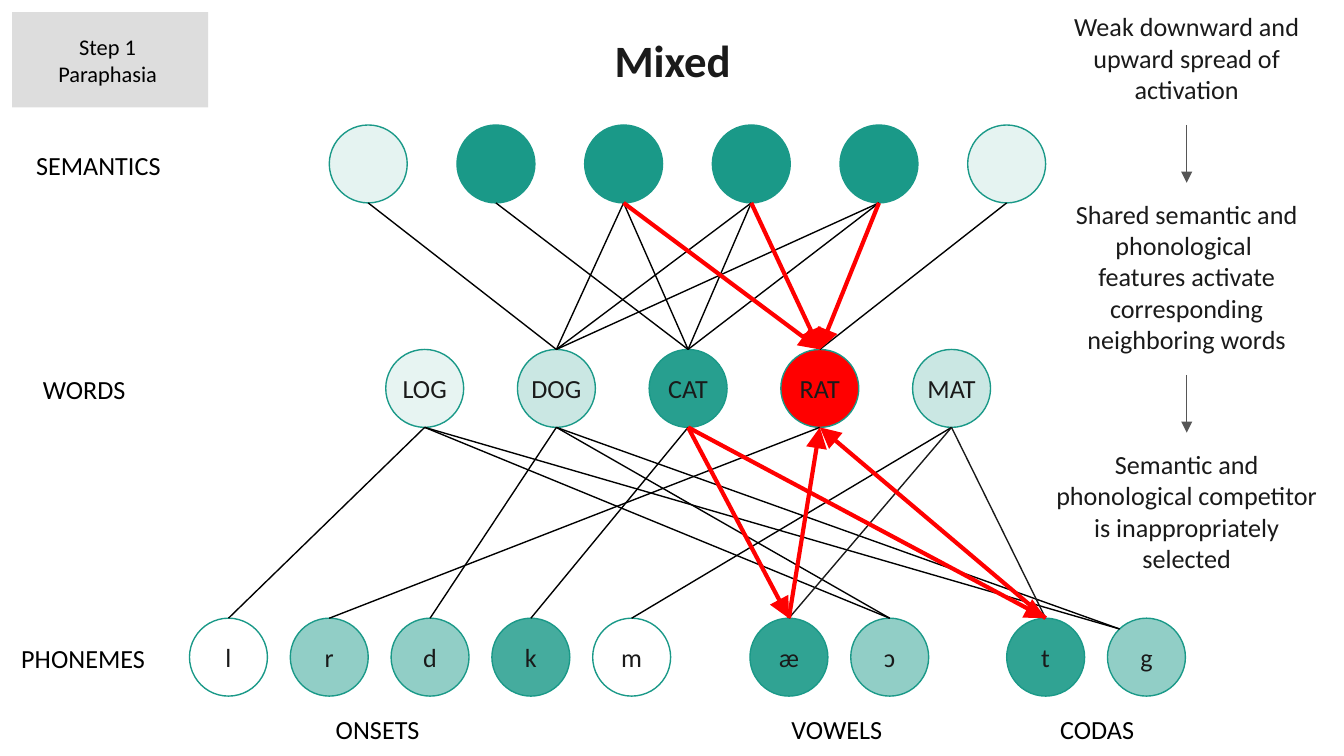
"""Build the slide on mixed paraphasia in a semantics, words and phonemes network."""
import pptx
import pptx.dml.color
import pptx.enum.shapes
import pptx.enum.text
import pptx.oxml
import pptx.oxml.ns
import pptx.util
from pptx.util import Inches

TEAL = pptx.dml.color.RGBColor(0x1A, 0x99, 0x88)
RED = pptx.dml.color.RGBColor(0xFF, 0x00, 0x00)
BLACK = pptx.dml.color.RGBColor(0x00, 0x00, 0x00)
INK = pptx.dml.color.RGBColor(0x1A, 0x1A, 0x1A)
GREY = pptx.dml.color.RGBColor(0x56, 0x56, 0x56)
PALE = pptx.dml.color.RGBColor(0xDD, 0xDD, 0xDD)

ANCHOR = pptx.enum.text.MSO_ANCHOR
ALIGN = pptx.enum.text.PP_ALIGN
SHAPE = pptx.enum.shapes.MSO_SHAPE
SIZE = 0.58
TOPS = {"semantics": 0.93, "words": 2.6, "phonemes": 4.6}


def write(shape, paragraphs, color, size=14, bold=False, align=ALIGN.CENTER, gap=0, **frame_format):
    frame = shape.text_frame
    for name, value in frame_format.items():
        setattr(frame, name, value)
    for index, text in enumerate(paragraphs):
        paragraph = frame.add_paragraph() if index else frame.paragraphs[0]
        paragraph.text = text
        paragraph.alignment = align
        paragraph.space_before = pptx.util.Pt(gap if index else 0)
        font_format = {"name": "Calibri", "size": pptx.util.Pt(size), "bold": bold}
        for name, value in font_format.items():
            setattr(paragraph.font, name, value)
        paragraph.font.color.rgb = color


def link(start, end, color, width=0.75, arrow=None):
    line = slide.shapes.add_connector(
        pptx.enum.shapes.MSO_CONNECTOR.STRAIGHT, *(Inches(value) for value in start + end))
    line.line.color.rgb = color
    line.line.width = pptx.util.Pt(width)
    properties = line.line._get_or_add_ln()
    if arrow:
        properties.append(pptx.oxml.parse_xml(
            f'<a:tailEnd {pptx.oxml.ns.nsdecls("a")} type="triangle" w="{arrow}" len="{arrow}"/>'))
    properties.addnext(pptx.oxml.parse_xml(f'<a:effectLst {pptx.oxml.ns.nsdecls("a")}/>'))


presentation = pptx.Presentation()
presentation.slide_width = Inches(10)
presentation.slide_height = Inches(10) * 9 // 16
slide = presentation.slides.add_slide(presentation.slide_layouts[5])

title = slide.shapes.title
title_place = {"left": 3.46, "top": 0.19, "width": 3.09, "height": 0.5}
for name, value in title_place.items():
    setattr(title, name, Inches(value))
write(title, ["Mixed"], INK, 24, True, vertical_anchor=ANCHOR.MIDDLE,
      auto_size=pptx.enum.text.MSO_AUTO_SIZE.NONE)

clusters = [
    ("semantics", 2.45, 0.95, [("S1", 11), ("S2", 100), ("S3", 100), ("S4", 100), ("S5", 100), ("S6", 11)]),
    ("words", 2.87, 0.98, [("LOG", 10), ("DOG", 23), ("CAT", 94), ("RAT", 100), ("MAT", 23)]),
    ("phonemes", 1.41, 0.75, [("l", 0), ("r", 48), ("d", 48), ("k", 81), ("m", 0)]),
    ("phonemes", 5.58, 0.75, [("æ", 90), ("ɔ", 48)]),
    ("phonemes", 7.49, 0.75, [("t", 90), ("g", 48)]),
]
tops, bottoms = {}, {}
for level, left, pitch, nodes in clusters:
    for index, (node, activation) in enumerate(nodes):
        x, y = left + index * pitch, TOPS[level]
        circle = slide.shapes.add_shape(
            SHAPE.OVAL, Inches(x), Inches(y), Inches(SIZE), Inches(SIZE))
        circle.shadow.inherit = False
        circle.line.color.rgb = TEAL
        circle.line.width = pptx.util.Pt(0.75)
        if activation:
            circle.fill.solid()
            circle.fill.fore_color.rgb = RED if node == "RAT" else TEAL
            if activation < 100:
                tint = circle._element.spPr.find(".//" + pptx.oxml.ns.qn("a:srgbClr"))
                tint.append(pptx.oxml.parse_xml(
                    f'<a:alpha {pptx.oxml.ns.nsdecls("a")} val="{activation * 1000}"/>'))
        else:
            circle.fill.background()
        if level != "semantics":
            write(circle, [node], INK, margin_left=0, margin_right=0, margin_top=0,
                  margin_bottom=0, vertical_anchor=ANCHOR.MIDDLE, word_wrap=True)
        tops[node] = (x + SIZE / 2, y)
        bottoms[node] = (x + SIZE / 2, y + SIZE)
tops["g"] = (8.33, 4.68)

resting_links = {
    "S1": ["DOG"], "S2": ["CAT"], "S3": ["DOG", "CAT"], "S4": ["DOG", "CAT"],
    "S5": ["DOG", "CAT"], "S6": ["RAT"],
    "LOG": ["l", "ɔ", "g"], "DOG": ["d", "ɔ", "g"], "CAT": ["k"], "RAT": ["r"],
    "MAT": ["m", "æ", "t"],
}
for upper, lowers in resting_links.items():
    for lower in lowers:
        link(bottoms[upper], tops[lower], INK if upper == "MAT" and lower != "m" else BLACK)

for upper, lower in [("CAT", "æ"), ("CAT", "t"), ("S3", "RAT"), ("S4", "RAT"), ("S5", "RAT")]:
    link(bottoms[upper], tops[lower], RED, 2.25, "lg")
for phoneme in ["æ", "t"]:
    link(tops[phoneme], bottoms["RAT"], RED, 2.25, "lg")

labels = [
    ("SEMANTICS", 0.17, 1.06, 1.14), ("WORDS", 0.22, 2.73, 0.82), ("PHONEMES", 0.06, 4.73, 1.13),
    ("ONSETS", 2.4, 5.26, 0.83), ("VOWELS", 5.79, 5.26, 0.89), ("CODAS", 7.79, 5.26, 0.76),
]
for label, left, top, width in labels:
    caption = slide.shapes.add_textbox(Inches(left), Inches(top), Inches(width), Inches(0.34))
    write(caption, [label], BLACK, align=ALIGN.LEFT, word_wrap=False)

explanation = slide.shapes.add_textbox(Inches(7.76), Inches(0.03), Inches(2.14), Inches(4.34))
write(explanation, [
    "Weak downward and upward spread of activation",
    "Shared semantic and phonological \vfeatures activate corresponding neighboring words",
    "Semantic and phonological competitor is inappropriately selected",
], INK, gap=50, word_wrap=True)
for top in [0.93, 2.79]:
    link((8.83, top), (8.83, top + 0.43), GREY, arrow="med")

step = slide.shapes.add_shape(
    SHAPE.RECTANGLE, Inches(0.09), Inches(0.09), Inches(1.46), Inches(0.71))
step.shadow.inherit = False
step.fill.solid()
step.fill.fore_color.rgb = PALE
step.line.fill.background()
write(step, ["Step 1 \vParaphasia "], BLACK, 12, vertical_anchor=ANCHOR.MIDDLE, word_wrap=True)

presentation.save("out.pptx")
